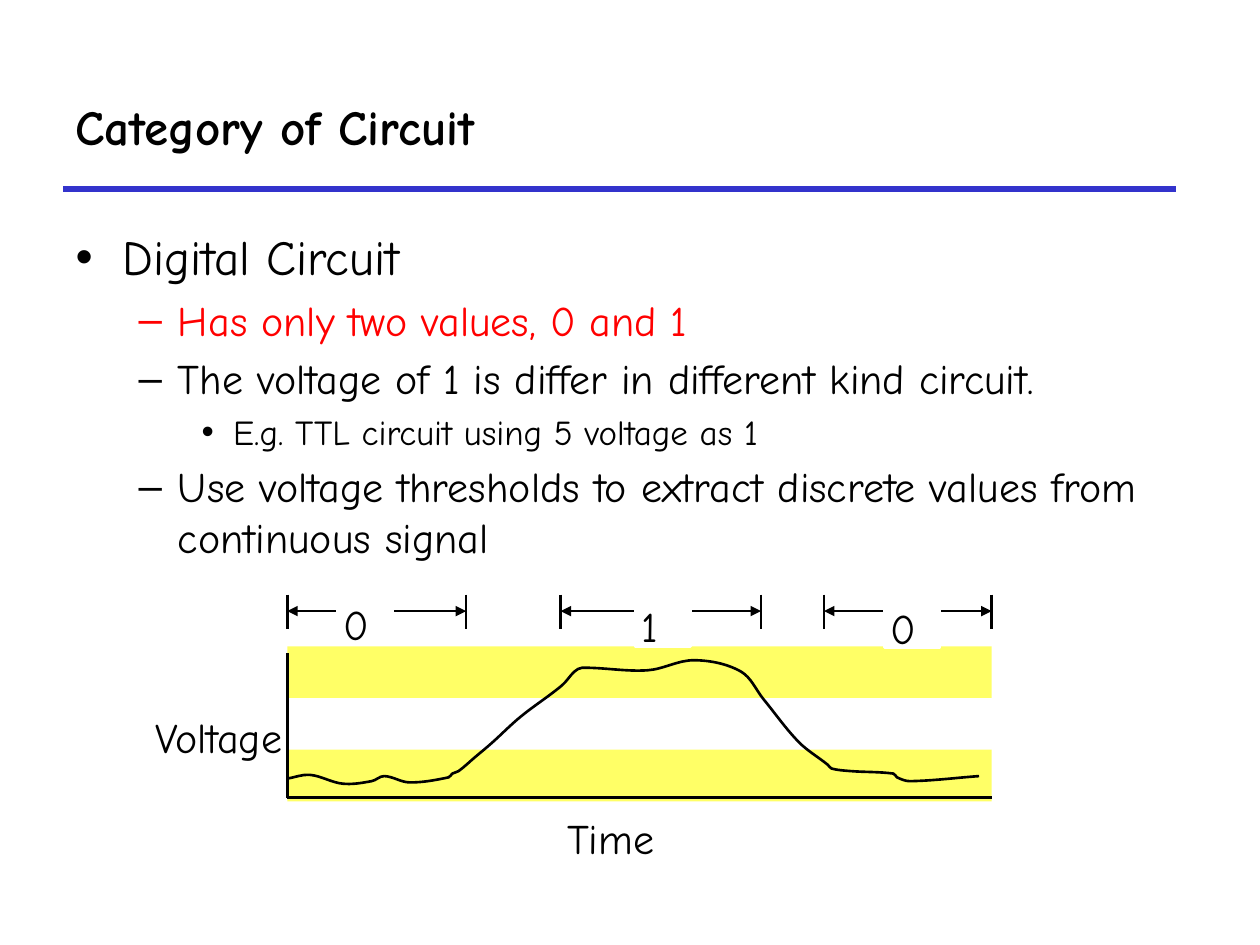
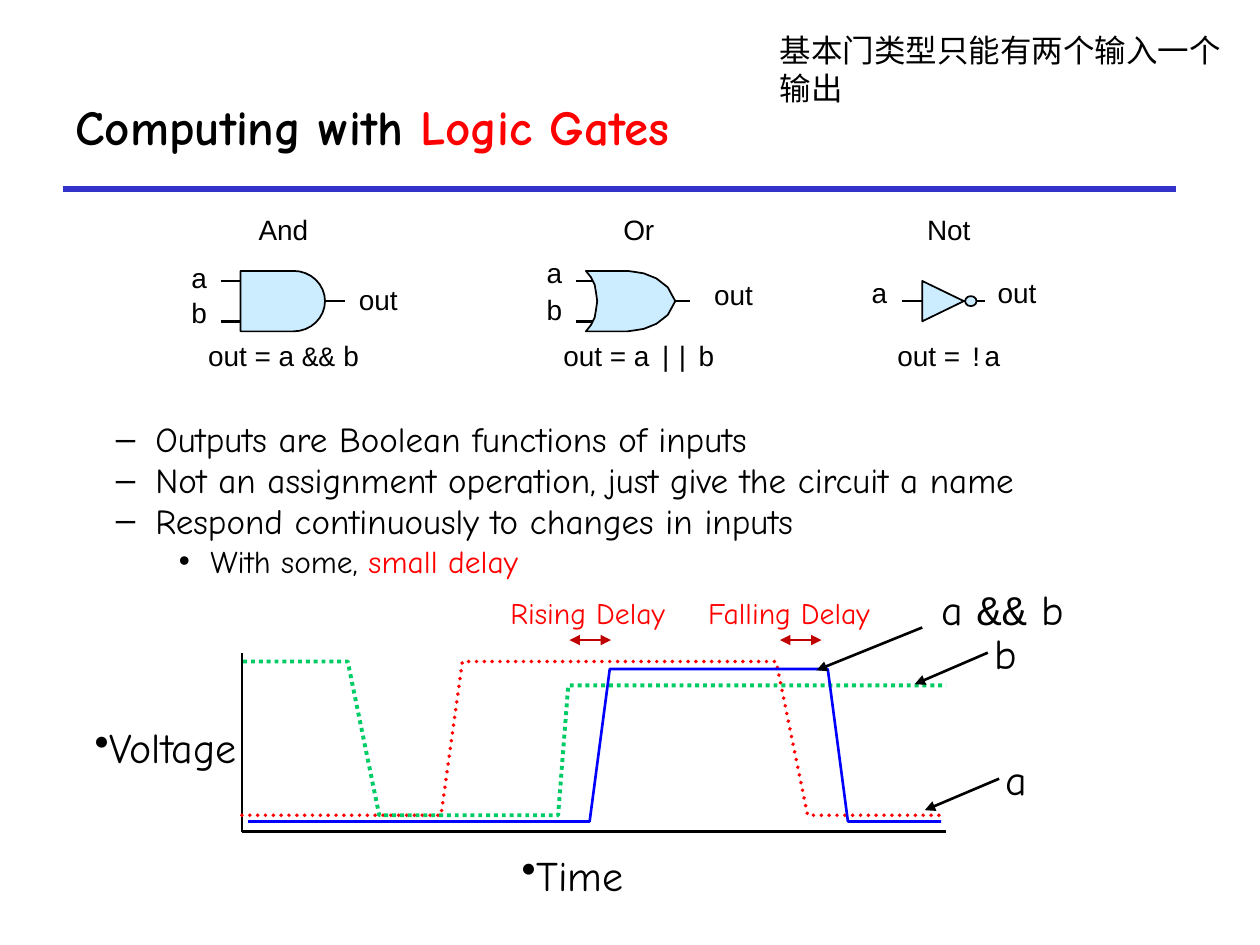
from math import cos, dist, pi, sin

from lxml import etree
from pptx import Presentation
from pptx.dml.color import RGBColor
from pptx.enum.dml import MSO_LINE
from pptx.enum.shapes import MSO_CONNECTOR, MSO_SHAPE
from pptx.enum.text import MSO_ANCHOR, MSO_AUTO_SIZE, PP_ALIGN
from pptx.oxml.ns import qn
from pptx.util import Inches, Pt

BLACK = RGBColor(0x00, 0x00, 0x00)
WHITE = RGBColor(0xFF, 0xFF, 0xFF)
RED = RGBColor(0xFF, 0x00, 0x00)
WAVE_RED = RGBColor(0xFF, 0x00, 0x02)
DARK_RED = RGBColor(0xC0, 0x00, 0x00)
GREEN = RGBColor(0x00, 0xCC, 0x66)
BLUE = RGBColor(0x00, 0x00, 0xFF)
RULE_BLUE = RGBColor(0x33, 0x33, 0xCC)
YELLOW = RGBColor(0xFF, 0xFF, 0x66)
GATE_BLUE = RGBColor(0xCC, 0xEC, 0xFF)

COMIC, ARIAL, COURIER = "Comic Neue", "Arial", "Courier New"
TITLE_FORMAT = {"size": Pt(28), "bold": True}
GATE_FORMAT = {"name": ARIAL, "size": Pt(16)}
CODE = {"name": COURIER}
TIGHT = Inches(0.05)


def add_runs(paragraph, runs, base):
    """Add (text, format) runs; each format overrides the base format."""
    for text, changes in runs:
        run = paragraph.add_run()
        run.text = text
        for key, value in {"name": COMIC, "color": BLACK, **base, **changes}.items():
            if key == "color":
                run.font.color.rgb = value
            else:
                setattr(run.font, key, value)


def place(shape, left, top, width, height):
    for key, value in zip(("left", "top", "width", "height"), (left, top, width, height)):
        setattr(shape, key, Inches(value))


def set_frame(frame, margin):
    frame.word_wrap = True
    frame.vertical_anchor = MSO_ANCHOR.TOP
    for side in ("left", "top", "right", "bottom"):
        setattr(frame, f"margin_{side}", margin)


def add_label(slide, box, runs, base=None, align=PP_ALIGN.LEFT, margin=TIGHT, bullet=False):
    text_box = slide.shapes.add_textbox(*map(Inches, box))
    set_frame(text_box.text_frame, margin)
    paragraph = text_box.text_frame.paragraphs[0]
    paragraph.alignment = align
    if bullet:
        text_box.text_frame.word_wrap = False
        text_box.text_frame.auto_size = MSO_AUTO_SIZE.SHAPE_TO_FIT_TEXT
        properties = paragraph._p.get_or_add_pPr()
        for key in ("marL", "indent"):
            properties.set(key, "0")
        etree.SubElement(properties, qn("a:buFontTx"))
        etree.SubElement(properties, qn("a:buChar")).set("char", "•")
    add_runs(paragraph, runs, base or {"size": Pt(24)})
    return text_box


def add_line(slide, start, end, color=BLACK, width=1.5, heads=()):
    """Draw a straight line; heads lists "headEnd" and/or "tailEnd"."""
    line = slide.shapes.add_connector(MSO_CONNECTOR.STRAIGHT, *map(Inches, (*start, *end)))
    line.line.color.rgb = color
    line.line.width = Pt(width)
    for head in heads:
        etree.SubElement(line.line._get_or_add_ln(), qn(f"a:{head}")).set("type", "triangle")
    etree.SubElement(line._element.spPr, qn("a:effectLst"))


def add_path(slide, points, color=BLACK, width=1.5, dash=None, fill=None):
    """Draw an outline through the points, closed when it has a fill."""
    (start_x, start_y), *others = [(Inches(x), Inches(y)) for x, y in points]
    builder = slide.shapes.build_freeform(start_x, start_y, 1.0)
    builder.add_line_segments(others, close=fill is not None)
    shape = builder.convert_to_shape()
    style_shape(shape, fill, color, width)
    if dash:
        shape.line.dash_style = dash
    return shape


def style_shape(shape, fill, color=None, width=1.0):
    shape.shadow.inherit = False
    if fill is None:
        shape.fill.background()
    else:
        shape.fill.solid()
        shape.fill.fore_color.rgb = fill
    if color is None:
        shape.line.fill.background()
    else:
        shape.line.color.rgb = color
        shape.line.width = Pt(width)


def add_preset(slide, kind, box, fill, color=None, width=1.0):
    shape = slide.shapes.add_shape(kind, *map(Inches, box))
    style_shape(shape, fill, color, width)
    return shape


def add_titled_slide(presentation, title_runs):
    slide = presentation.slides.add_slide(presentation.slide_layouts[1])
    add_line(slide, (0.5, 1.5), (9.33, 1.5), RULE_BLUE, 3)
    title = slide.shapes.title
    place(title, 0.5, 0.5, 8.83, 1)
    title.text_frame.auto_size = MSO_AUTO_SIZE.NONE
    title.text_frame.vertical_anchor = MSO_ANCHOR.MIDDLE
    paragraph = title.text_frame.paragraphs[0]
    paragraph.alignment = PP_ALIGN.LEFT
    add_runs(paragraph, title_runs, TITLE_FORMAT)
    return slide


def fill_body(slide, box, items, sizes, spacings=None):
    """Fill the body with (level, runs) items; sizes and line spacings go by level."""
    body = slide.placeholders[1]
    place(body, *box)
    frame = body.text_frame
    frame.auto_size = MSO_AUTO_SIZE.NONE
    for index, (level, runs) in enumerate(items):
        paragraph = frame.add_paragraph() if index else frame.paragraphs[0]
        paragraph.level = level
        if not index:
            paragraph.space_before = Pt(0)
        if spacings:
            paragraph.line_spacing = spacings[level]
        add_runs(paragraph, runs, {"size": Pt(sizes[level])})


def add_axes(slide, left, top, width, height, voltage_drop, time_gap, bullet=False):
    bottom = top + height
    add_line(slide, (left, bottom), (left, top))
    add_line(slide, (left, bottom), (left + width, bottom))
    add_label(slide, (left - 1.41, top + voltage_drop, 1.42, 0.51),
              [("Voltage", {})], align=PP_ALIGN.RIGHT, bullet=bullet)
    add_label(slide, (left + 2.17, bottom + time_gap, 1.01, 0.51), [("Time", {})],
              bullet=bullet)


def add_curve(slide, knots):
    """Draw a smooth curve of Bézier segments through the knots."""
    padded = [knots[0], *knots, knots[-1]]
    points = [knots[0]]

    def handle(knot, before, after, length):
        scale = length / 3 / dist(before, after)
        return tuple(k + (a - b) * scale for k, b, a in zip(knot, before, after))

    for before, start, end, after in zip(padded, padded[1:], padded[2:], padded[3:]):
        length = dist(start, end)
        points += [handle(start, before, end, length), handle(end, after, start, length), end]
    shape = add_path(slide, points)
    segments = list(shape._element.iter(qn("a:lnTo")))
    for triple in zip(*[iter(segments)] * 3):
        bezier = etree.Element(qn("a:cubicBezTo"))
        triple[0].addprevious(bezier)
        for segment in triple:
            bezier.append(segment[0])
            segment.getparent().remove(segment)


def add_threshold_diagram(slide, left, top, width, height):
    """Draw a continuous signal over its two threshold bands, with digit spans above."""
    for band_top in (top - 0.05, top + 0.77):
        add_preset(slide, MSO_SHAPE.RECTANGLE, (left, band_top, width, 0.41), YELLOW)
    add_axes(slide, left, top, width, height, 0.42, 0.07)
    signal = [(0, 1), (0.18, 0.97), (0.44, 1.04), (0.67, 1.02), (0.77, 0.98), (0.97, 1.03),
              (1.28, 0.99), (1.31, 0.96), (1.36, 0.94), (1.49, 0.83), (1.62, 0.72),
              (1.85, 0.51), (2.18, 0.26), (2.28, 0.15), (2.34, 0.12), (2.86, 0.14),
              (3.23, 0.06), (3.6, 0.15), (3.78, 0.37), (4.06, 0.71), (4.29, 0.89),
              (4.32, 0.92), (4.47, 0.94), (4.81, 0.96), (4.84, 0.99), (4.94, 1.02),
              (5.49, 0.98)]
    add_curve(slide, [(left + x, top + y) for x, y in signal])
    spans = [("0", 0, 1.42, 0.4, 4.7), ("1", 2.17, 3.76, 2.76, 4.72),
             ("0", 4.26, width, 4.74, 4.73)]
    for digit, start, end, digit_left, digit_top in spans:
        for edge in (left + start, left + end):
            add_line(slide, (edge, top - 0.46), (edge, top - 0.19))
        add_line(slide, (left + start, top - 0.33), (left + end, top - 0.33),
                 heads=("headEnd", "tailEnd"))
        box = add_preset(slide, MSO_SHAPE.RECTANGLE,
                         (left + digit_left, digit_top, 0.44, 0.41), WHITE, WHITE, 1.5)
        set_frame(box.text_frame, TIGHT)
        box.text_frame.paragraphs[0].alignment = PP_ALIGN.LEFT
        add_runs(box.text_frame.paragraphs[0], [(digit, {})], {"size": Pt(24)})


def add_gate(slide, left, top, width, gate):
    """Draw a gate symbol with its name above and its formula below."""
    axis = top + 0.75
    body_left = left + gate["body"]
    inputs = gate["inputs"]
    input_start, input_end, output_start, output_end = gate["leads"]
    for _, lead_y, _ in inputs:
        add_line(slide, (body_left + input_start, axis + lead_y),
                 (body_left + input_end, axis + lead_y))
    add_line(slide, (body_left + output_start, axis), (body_left + output_end, axis))
    upper = gate["upper"]
    outline = upper + [(x, -y) for x, y in reversed(upper) if y]
    add_path(slide, [(body_left + x, axis + y) for x, y in outline], width=1, fill=GATE_BLUE)
    if gate["inverted"]:
        add_preset(slide, MSO_SHAPE.OVAL, (body_left + 0.34, axis - 0.04, 0.09, 0.08),
                   GATE_BLUE, BLACK)

    def label(x, y, label_width, runs, align=PP_ALIGN.LEFT):
        box = add_label(slide, (left + x, top + y, label_width, 0.37), runs, GATE_FORMAT, align)
        box.text_frame.margin_left = box.text_frame.margin_right = Inches(0.1)

    for name, _, name_y in inputs:
        label(gate["input_x"], name_y, 0.32, [(name, {})])
    label(*gate["out"], 0.6, [("out", {})])
    label(0, 0, width, [(gate["name"], {})], PP_ALIGN.CENTER)
    label(0, 1, width, [("out = ", {}), *gate["formula"]], PP_ALIGN.CENTER)


def add_gates(slide, top):
    arc = [(0.42 + 0.25 * sin(step * pi / 16), -0.24 * cos(step * pi / 16))
           for step in range(9)]
    gates = [
        (1.5, 1.5, {
            "name": "And", "formula": [("a ", {}), ("&&", CODE), (" b", {})],
            "body": 0.41, "upper": [(0, -0.24), *arc], "leads": (-0.16, 0, 0.67, 0.83),
            "inputs": [("a", -0.16, 0.38), ("b", 0.16, 0.66)],
            "input_x": -0.08, "out": (1.25, 0.55), "inverted": False}),
        (4.32, 1.5, {
            "name": "Or", "formula": [("a ", {}), ("||", CODE), (" b", {})],
            "body": 0.33,
            "upper": [(0.09, 0), (0.08, -0.07), (0.07, -0.13), (0.04, -0.19), (0, -0.24),
                      (0.33, -0.24), (0.4, -0.23), (0.46, -0.22), (0.51, -0.2),
                      (0.56, -0.18), (0.65, -0.11), (0.71, 0)],
            "leads": (-0.08, 0.09, 0.66, 0.83),
            "inputs": [("a", -0.16, 0.34), ("b", 0.16, 0.63)],
            "input_x": -0.08, "out": (1.25, 0.51), "inverted": False}),
        (6.99, 1.08, {
            "name": "Not", "formula": [("!", CODE), ("a", {})],
            "body": 0.33, "upper": [(0, -0.16), (0.33, 0)], "leads": (-0.16, 0, 0.33, 0.5),
            "inputs": [("a", 0, 0.5)],
            "input_x": -0.17, "out": (0.83, 0.5), "inverted": True}),
    ]
    for left, width, gate in gates:
        add_gate(slide, left, top, width, gate)


def add_delay_diagram(slide, left, top, width, height):
    """Draw the waves of a, b and a && b over time, and mark the delays."""
    add_axes(slide, left, top, width, height, 0.5, 0.09, bullet=True)
    dots = MSO_LINE.ROUND_DOT
    waves = [
        (WAVE_RED, 2.25, dots, [(0, 1.29), (1.58, 1.29), (1.75, 0.07), (4.24, 0.07),
                                (4.49, 1.29), (5.58, 1.29)]),
        (GREEN, 2.25, dots, [(0.01, 0.07), (0.84, 0.07), (1.09, 1.29), (2.51, 1.29),
                             (2.59, 0.26), (5.59, 0.26)]),
        (BLUE, 1.5, None, [(0.05, 1.34), (2.76, 1.34), (2.92, 0.13), (4.65, 0.13),
                           (4.81, 1.34), (5.55, 1.34)]),
    ]
    for color, line_width, dash, points in waves:
        wave = add_path(slide, [(left + x, top + y) for x, y in points], color, line_width, dash)
        if color == WAVE_RED:
            wave.line._get_or_add_ln().set("cap", "rnd")
    callouts = [
        ((5.5, -0.6, 1.42), (5.4, -0.2), (4.56, 0.14), [("a ", {}), ("&&", CODE), (" b", {})]),
        ((5.92, -0.25, 0.44), (5.92, 0), (5.34, 0.25), [("b", {})]),
        ((6.01, 0.75, 0.44), (6.01, 1), (5.42, 1.25), [("a", {})]),
    ]
    for (x, y, label_width), start, end, runs in callouts:
        add_label(slide, (left + x, top + y, label_width, 0.51), runs)
        add_line(slide, (left + start[0], top + start[1]), (left + end[0], top + end[1]),
                 heads=("tailEnd",))
    for text, label_x, arrow_x in (("Rising Delay", 2.08, 2.6), ("Falling Delay", 3.65, 4.27)):
        add_label(slide, (left + label_x, top - 0.51, 1.51, 0.39), [(text, {})],
                  {"size": Pt(17), "color": RED})
        add_line(slide, (left + arrow_x, top - 0.1), (left + arrow_x + 0.33, top - 0.1),
                 DARK_RED, 1, ("headEnd", "tailEnd"))


def build_digital_circuit(presentation):
    slide = add_titled_slide(presentation, [("Category of Circuit", {})])
    fill_body(slide, (0.5, 1.75, 9.08, 4.83), [
        (0, [("Digital Circuit", {})]),
        (1, [("Has only two values, 0 and 1", {"color": RED})]),
        (1, [("The voltage of 1 is differ in different kind circuit.", {})]),
        (2, [("E.g. TTL circuit using 5 voltage as 1", {})]),
        (1, [("Use voltage thresholds to extract discrete values from continuous signal", {})]),
    ], (28, 24, 20))
    add_threshold_diagram(slide, 2.28, 5.18, 5.59, 1.15)


def build_logic_gates(presentation):
    slide = add_titled_slide(presentation, [("Computing with ", {}),
                                            ("Logic Gates", {"color": RED})])
    fill_body(slide, (0.32, 3.33, 9.08, 1.34), [
        (1, [("Outputs are Boolean functions of inputs", {})]),
        (1, [("Not an assignment operation, just give the circuit a name", {})]),
        (1, [("Respond continuously to changes in inputs", {})]),
        (2, [("With some, ", {}), ("small delay", {"color": RED})]),
    ], (24, 20, 18), (1, 0.8, 0.87))
    add_gates(slide, 1.64)
    add_delay_diagram(slide, 1.92, 5.18, 5.59, 1.42)
    note_format = {"size": Pt(18)}
    note = add_label(slide, (6.09, 0.2, 3.75, 0.71),
                     [("基本门类型只能有两个输入一个", {})], note_format)
    note.text_frame.margin_left = Inches(0.1)
    add_runs(note.text_frame.add_paragraph(), [("输出", {})], note_format)


def main():
    presentation = Presentation()
    presentation.slide_width, presentation.slide_height = Inches(10), Inches(7.5)
    build_digital_circuit(presentation)
    build_logic_gates(presentation)
    presentation.save("out.pptx")


if __name__ == "__main__":
    main()
